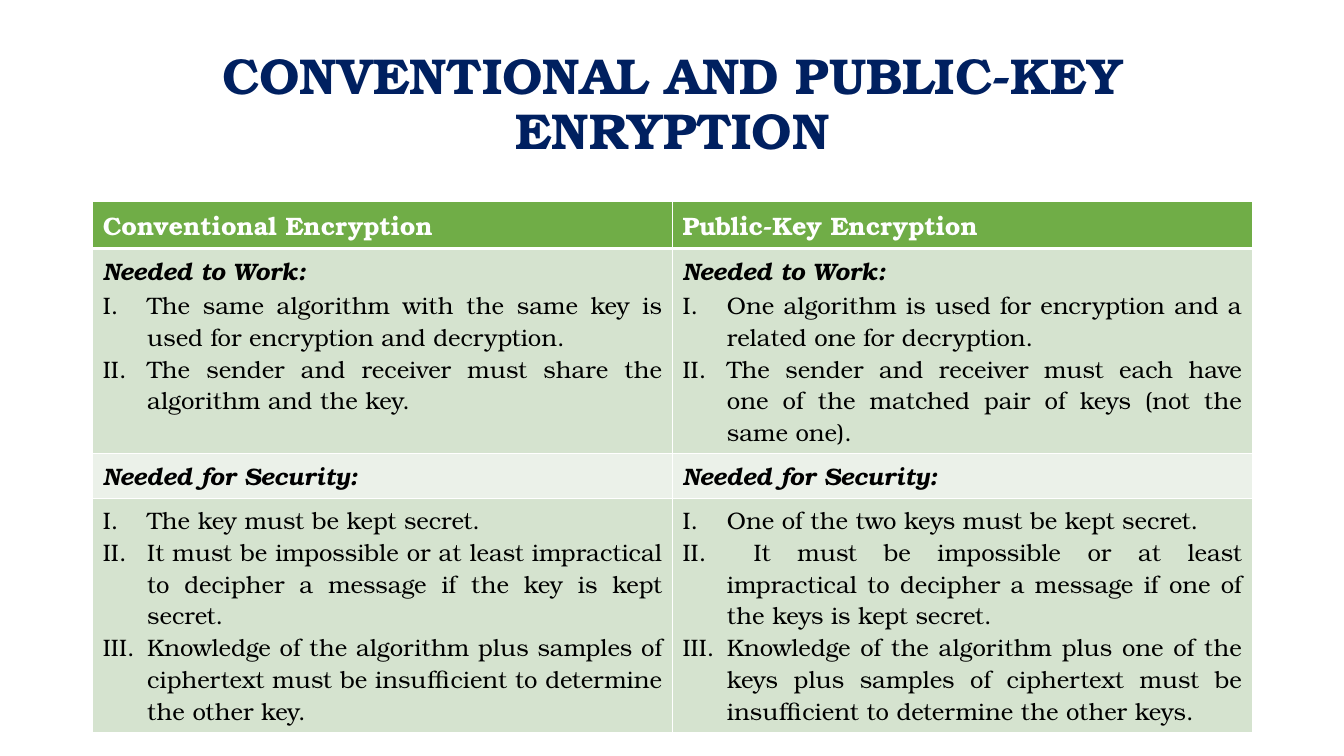
from lxml.etree import SubElement
from pptx import Presentation
from pptx.dml.color import RGBColor
from pptx.enum.text import MSO_ANCHOR, PP_ALIGN
from pptx.oxml.ns import qn
from pptx.util import Pt

# Content: each table row holds a (heading, numbered points) pair per column
TITLE = "CONVENTIONAL AND PUBLIC-KEY ENRYPTION"
ROWS = [
    [("Conventional Encryption", []), ("Public-Key Encryption", [])],
    [
        ("Needed to Work:", [
            "The same algorithm with the same key is used for encryption and decryption.",
            "The sender and receiver must share the algorithm and the key.",
        ]),
        ("Needed to Work:", [
            "One algorithm is used for encryption and a related one for decryption.",
            "The sender and receiver must each have one of the matched pair of keys "
            "(not the same one).",
        ]),
    ],
    [("Needed for Security:", []), ("Needed for Security:", [])],
    [
        (None, [
            "The key must be kept secret.",
            "It must be impossible or at least impractical to decipher a message "
            "if the key is kept secret.",
            "Knowledge of the algorithm plus samples of ciphertext must be "
            "insufficient to determine the other key.",
        ]),
        (None, [
            "One of the two keys must be kept secret.",
            " It must be impossible or at least impractical to decipher a message "
            "if one of the keys is kept secret.",
            "Knowledge of the algorithm plus one of the keys plus samples of "
            "ciphertext must be insufficient to determine the other keys.",
        ]),
    ],
]

# Look and layout, 100 px to the inch
FONT = "TeX Gyre Bonum"
COLORS = {"title": "002060", "header": "70AD47", "band": "D5E3CF",
          "light": "EBF1E9", "text": "000000", "white": "FFFFFF"}
ROW_FILLS = ["header", "band", "light", "band"]
ROW_HEIGHTS = [45, 203, 45, 230]
LEFT, WIDTH, TABLE_TOP = 92, 1150, 200
INDENT = 44


def px(n):
    return n * 9144


def add_run(p, text, size, color, bold=False, italic=False):
    r = p.add_run()
    r.text = text
    r.font.name, r.font.size = FONT, Pt(size)
    r.font.bold, r.font.italic = bold, italic
    r.font.color.rgb = RGBColor.from_string(COLORS[color])


def number(p):
    pPr = p._p.get_or_add_pPr()
    pPr.set("marL", str(px(INDENT)))
    pPr.set("indent", str(-px(INDENT)))
    SubElement(pPr, qn("a:buFont"), typeface="+mj-lt")
    SubElement(pPr, qn("a:buAutoNum"), type="romanUcPeriod")


def set_borders(cell, bottom):
    tcPr = cell._tc.get_or_add_tcPr()
    for side, width in (("lnL", 1), ("lnR", 1), ("lnT", 1), ("lnB", bottom)):
        line = SubElement(tcPr, qn(f"a:{side}"), w=str(Pt(width)))
        fill = SubElement(line, qn("a:solidFill"))
        SubElement(fill, qn("a:srgbClr"), val=COLORS["white"])


def fill_cell(cell, heading, points, is_header):
    tf = cell.text_frame
    p = tf.paragraphs[0]
    if heading:
        if is_header:
            add_run(p, heading, 18, "white", bold=True)
        else:
            add_run(p, heading, 17, "text", bold=True, italic=True)
    for i, point in enumerate(points):
        if heading or i:
            p = tf.add_paragraph()
        number(p)
        p.alignment = PP_ALIGN.JUSTIFY
        add_run(p, point, 17, "text")


prs = Presentation()
prs.slide_width, prs.slide_height = px(1333), px(750)
s = prs.slides.add_slide(prs.slide_layouts[5])

# Title
title = s.shapes.title
title.left, title.top, title.width, title.height = px(LEFT), px(40), px(WIDTH), px(130)
tf = title.text_frame
tf.word_wrap = True
tf.vertical_anchor = MSO_ANCHOR.MIDDLE
p = tf.paragraphs[0]
p.alignment = PP_ALIGN.CENTER
p.line_spacing = 0.9
add_run(p, TITLE, 36, "title", bold=True)

# Comparison table
table = s.shapes.add_table(len(ROWS), 2, px(LEFT), px(TABLE_TOP),
                           px(WIDTH), px(sum(ROW_HEIGHTS))).table
for i, row in enumerate(ROWS):
    table.rows[i].height = px(ROW_HEIGHTS[i])
    for j, (heading, points) in enumerate(row):
        cell = table.cell(i, j)
        set_borders(cell, bottom=3 if i == 0 else 1)
        cell.fill.solid()
        cell.fill.fore_color.rgb = RGBColor.from_string(COLORS[ROW_FILLS[i]])
        fill_cell(cell, heading, points, is_header=i == 0)

prs.save("out.pptx")
